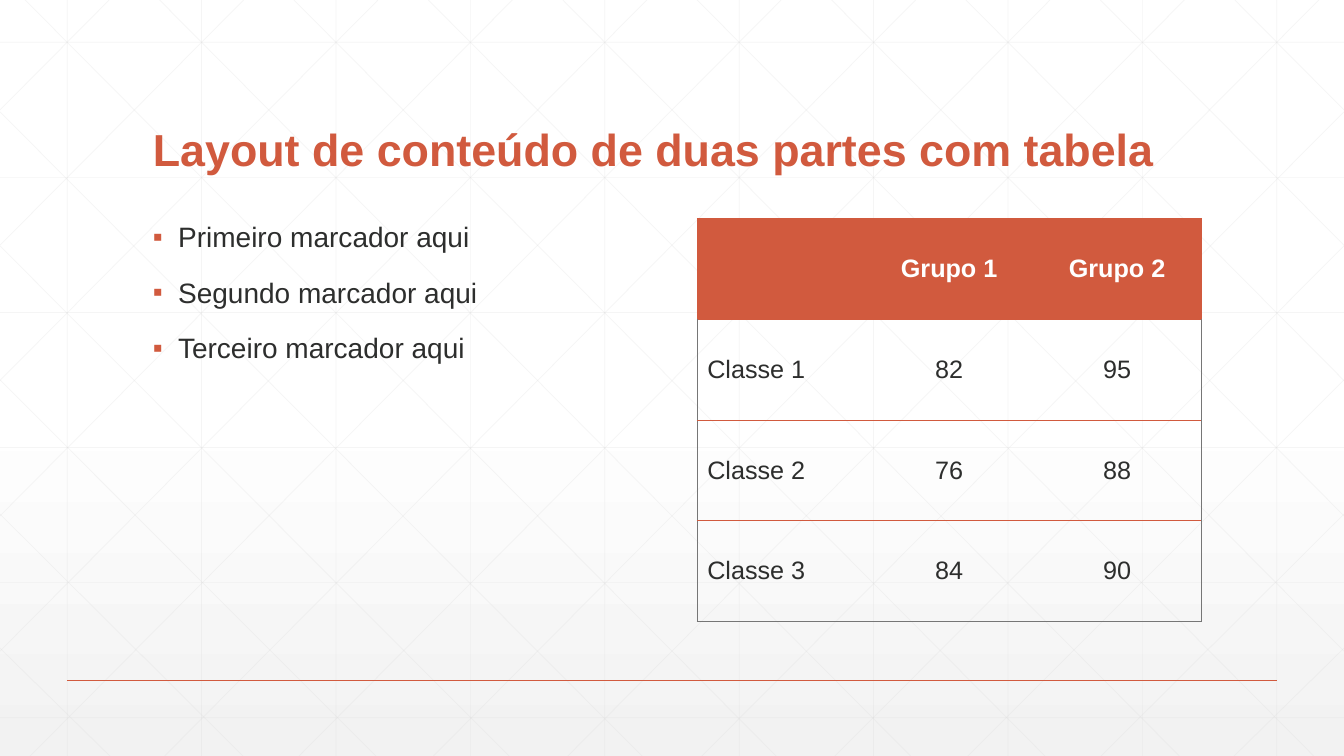
import copy
from lxml import etree
from pptx import Presentation
from pptx.dml.color import RGBColor
from pptx.enum import shapes, text
from pptx.oxml import ns
from pptx.util import Inches, Pt

ACCENT, DARK, WHITE, GRID, FRAME = "D15A3E", "2D2E2D", "FFFFFF", "D9D9D9", "767676"
W, H = 40 / 3, 7.5
STEP = W / 10
LEFT, TOP = 17 / 12, 13 / 6


def write(p, content, size=18, color=DARK, bold=False, align=text.PP_ALIGN.LEFT):
    """Put one formatted run of text in a paragraph."""
    p.alignment = align
    r = p.add_run()
    r.text = content
    r.font.name, r.font.size, r.font.bold = "Arial", Pt(size), bold
    r.font.color.rgb = RGBColor.from_string(color)


def add_line(owner, x1, y1, x2, y2, color, width):
    """Draw a straight line without shadow and return its colour element."""
    c = owner.add_connector(shapes.MSO_CONNECTOR.STRAIGHT,
                            Inches(x1), Inches(y1), Inches(x2), Inches(y2))
    c.line.width = Pt(width)
    c.line.color.rgb = RGBColor.from_string(color)
    etree.SubElement(c._element.spPr, ns.qn("a:effectLst"))
    return c._element.spPr.find(".//" + ns.qn("a:srgbClr"))


prs = Presentation()
prs.slide_width, prs.slide_height = Inches(W), Inches(H)
s = prs.slides.add_slide(prs.slide_layouts[1])
title, body = s.shapes.title, s.placeholders[1]

# Background gradient: white to just past the middle, then light grey
fill = s.background.fill
fill.gradient()
fill.gradient_angle = 270
first, last = fill.gradient_stops
first.color.rgb = RGBColor.from_string(WHITE)
last.color.rgb = RGBColor.from_string("F2F2F2")
first.position, last.position = 0, 1
middle = copy.deepcopy(first._gs)
middle.set("pos", "53000")
first._gs.addnext(middle)

# Grid of verticals, horizontals and mirrored diagonals
lines = [(STEP * (i + 0.5), 0, STEP * (i + 0.5), H) for i in range(10)]
lines += [(0, 0.42 + 1.34 * i, W, 0.42 + 1.34 * i) for i in range(6)]
diagonals = []
for i in range(10):
    x = 0.25 + STEP * i
    run = min(7.45, W - x)
    diagonals.append((x, 0, x + run, run * H / 7.45))
diagonals += [(0, 1.11 + 1.33 * i, 6.37 - 1.32 * i, H) for i in range(5)]
lines += diagonals + [(W - x1, y1, W - x2, y2) for x1, y1, x2, y2 in diagonals]
for ends in lines:
    clr = add_line(s.shapes, *ends, GRID, 0.5)
    etree.SubElement(clr, ns.qn("a:alpha"), val="25000")
add_line(s.shapes, STEP / 2, 6.75, W - STEP / 2, 6.75, ACCENT, 1)

# Bring the placeholders in front of the grid
for sp in (title, body):
    s.shapes._spTree.append(sp._element)

# Title
title.left, title.top, title.width, title.height = map(Inches, (LEFT, 0.55, 10.5, 1.25))
tf = title.text_frame
tf.auto_size = text.MSO_AUTO_SIZE.NONE
tf.vertical_anchor = text.MSO_ANCHOR.BOTTOM
tf.paragraphs[0].line_spacing = 0.9
write(tf.paragraphs[0], "Layout de conteúdo de duas partes com tabela",
      size=32, color=ACCENT, bold=True)

# Bullet list
body.left, body.top, body.width, body.height = map(Inches, (LEFT, TOP, 5, 4.17))
tf = body.text_frame
tf.auto_size = text.MSO_AUTO_SIZE.NONE
for i, word in enumerate(["Primeiro", "Segundo", "Terceiro"]):
    p = tf.add_paragraph() if i else tf.paragraphs[0]
    p.line_spacing, p.space_before = 0.9, Pt(18)
    write(p, f"{word} marcador aqui", size=20)
    pPr = p._p.get_or_add_pPr()
    pPr.set("marL", str(Inches(0.25)))
    pPr.set("indent", str(-Inches(0.25)))
    bullet_color = etree.SubElement(pPr, ns.qn("a:buClr"))
    etree.SubElement(bullet_color, ns.qn("a:srgbClr"), val=ACCENT)
    etree.SubElement(pPr, ns.qn("a:buFont"), typeface="Arial")
    etree.SubElement(pPr, ns.qn("a:buChar"), char="▪")

# Table
rows = [("", "Grupo 1", "Grupo 2"),
        ("Classe 1", "82", "95"),
        ("Classe 2", "76", "88"),
        ("Classe 3", "84", "90")]
last_row, last_col = len(rows) - 1, len(rows[0]) - 1
table = s.shapes.add_table(len(rows), len(rows[0]), Inches(LEFT + 5.5), Inches(TOP),
                           Inches(5), Inches(4)).table
table.first_row = table.horz_banding = False
style = table._tbl.tblPr.find(ns.qn("a:tableStyleId"))
style.text = "{2D5ABB26-0587-4C30-8999-92F81FD0307C}"  # no style, no grid
for i, row in enumerate(rows):
    for j, value in enumerate(row):
        cell = table.cell(i, j)
        cell.vertical_anchor = text.MSO_ANCHOR.MIDDLE
        header = i == 0
        if header:
            cell.fill.solid()
            cell.fill.fore_color.rgb = RGBColor.from_string(ACCENT)
        else:
            cell.fill.background()
        if value:
            write(cell.text_frame.paragraphs[0], value, bold=header,
                  color=WHITE if header else DARK,
                  align=text.PP_ALIGN.CENTER if j else text.PP_ALIGN.LEFT)
        side = ACCENT if header else FRAME
        borders = {"lnL": side if j == 0 else None,
                   "lnR": side if j == last_col else None,
                   "lnT": ACCENT,
                   "lnB": FRAME if i == last_row else ACCENT}
        tcPr = cell._tc.get_or_add_tcPr()
        for k, (edge, color) in enumerate(borders.items()):
            ln = etree.Element(ns.qn(f"a:{edge}"), w=str(Pt(0.5)))
            paint = etree.SubElement(ln, ns.qn("a:solidFill" if color else "a:noFill"))
            if color:
                etree.SubElement(paint, ns.qn("a:srgbClr"), val=color)
            tcPr.insert(k, ln)

prs.save("out.pptx")
